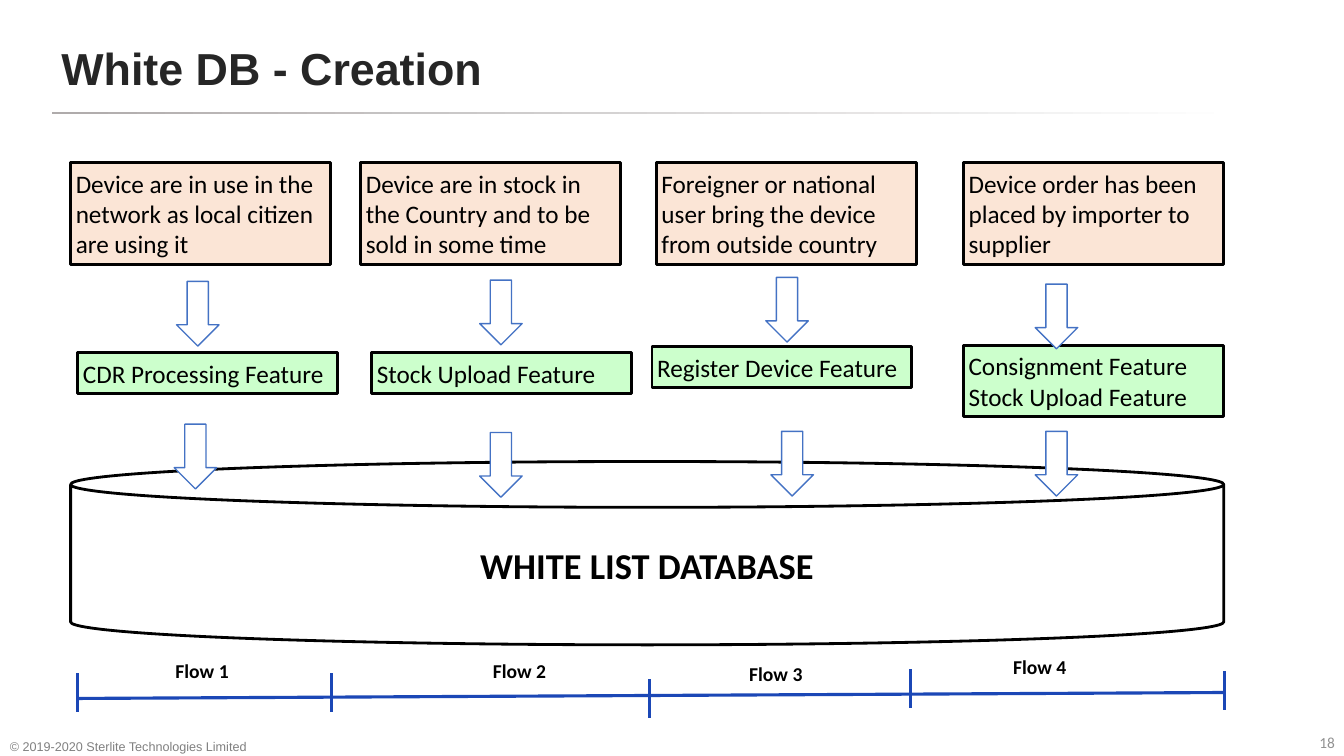
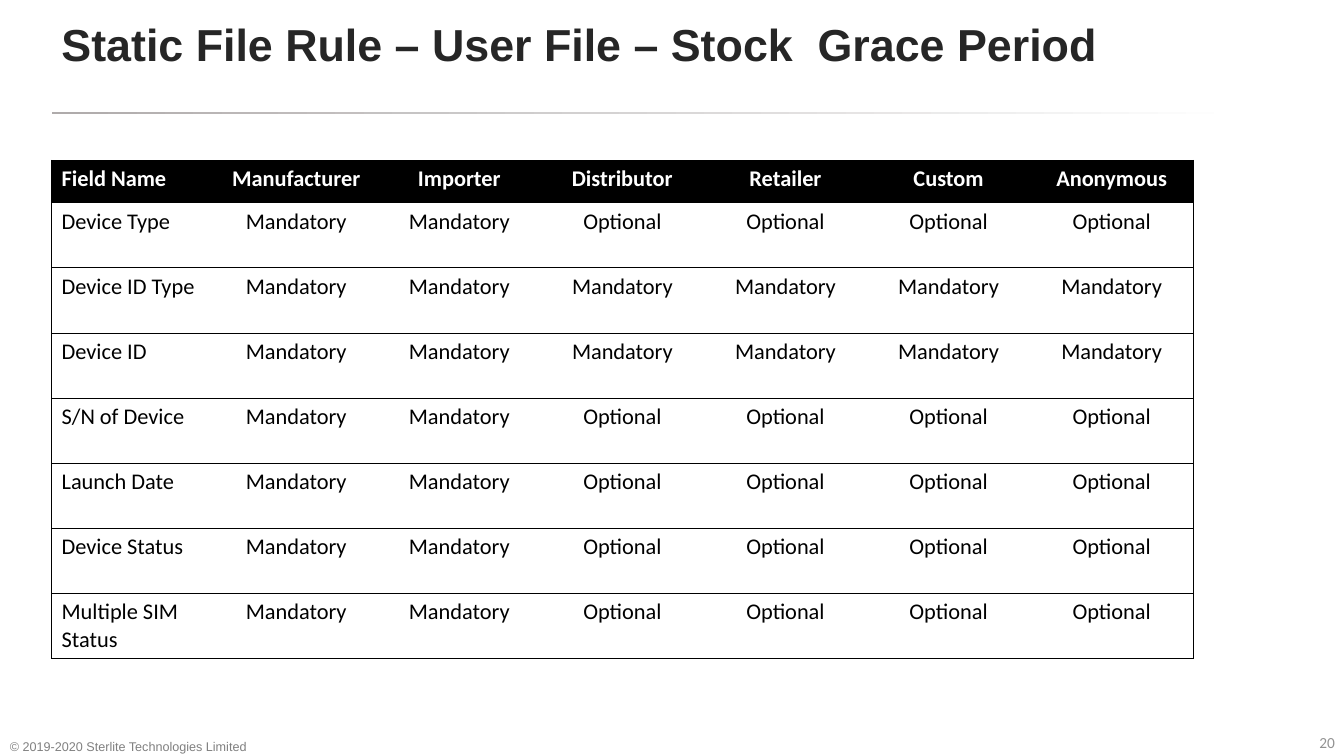
from dataclasses import dataclass
from typing import NamedTuple

from lxml import etree
from pptx import Presentation
from pptx import util as u
from pptx.dml import color
from pptx.enum import shapes, text
from pptx.oxml import ns

COLORS = {
    "title": "262626",
    "rule": "AFABAB",
    "number": "929292",
    "copyright": "808080",
    "ink": "000000",
    "paper": "FFFFFF",
    "situation": "FBE5D6",
    "feature": "CCFFCC",
    "arrow": "4472C4",
    "timeline": "1B47B6",
}
COPYRIGHT = "© 2019-2020 Sterlite Technologies Limited"
TIGHT = 0.13


class Point(NamedTuple):
    x: float
    y: float


class Area(NamedTuple):
    left: float
    top: float
    width: float
    height: float

    def lengths(self) -> list:
        return [u.Cm(value) for value in self]


@dataclass(frozen=True)
class Style:
    size: float
    color: str = "ink"
    bold: bool = False
    font: str = "Calibri"
    align: text.PP_ALIGN = text.PP_ALIGN.LEFT
    anchor: text.MSO_ANCHOR = text.MSO_ANCHOR.TOP
    margin_x: float = TIGHT
    margin_y: float = TIGHT
    wrap: bool = True


@dataclass(frozen=True)
class Flow:
    """One way for a device to reach the white list, with the places of its parts."""
    name: str
    situation: str
    features: tuple
    situation_left: float
    feature_at: Point
    upper_arrow: Point
    lower_arrow: Point
    label_at: Point


class FieldRule(NamedTuple):
    name: str
    mandatory_for_all: bool = False


MIDDLE = text.MSO_ANCHOR.MIDDLE
CENTER = text.PP_ALIGN.CENTER
TITLE = Style(32, "title", True, "Arial", anchor=MIDDLE, margin_x=0.25)
NUMBER = Style(11, "number", wrap=False)
FOOTER = Style(9, "copyright", font="Arial", anchor=text.MSO_ANCHOR.BOTTOM,
               margin_x=0.25, margin_y=0.05)
BOX = Style(18, anchor=MIDDLE)
DATABASE = Style(26, bold=True, align=CENTER, anchor=MIDDLE)
LABEL = Style(14, bold=True, wrap=False)

FLOWS = [
    Flow("Flow 1", "Device are in use in the network as local citizen are using it",
         ("CDR Processing Feature",), 1.78,
         Point(1.96, 8.89), Point(4.45, 7.09), Point(4.39, 10.69), Point(4.29, 16.48)),
    Flow("Flow 2", "Device are in stock in the Country and to be sold in some time",
         ("Stock Upload Feature",), 9.09,
         Point(9.37, 8.89), Point(12.09, 7.06), Point(12.09, 10.9), Point(12.29, 16.48)),
    Flow("Flow 3", "Foreigner or national user bring the device from outside country",
         ("Register Device Feature",), 16.54,
         Point(16.43, 8.74), Point(19.3, 6.99), Point(19.43, 10.87), Point(18.75, 16.54)),
    Flow("Flow 4", "Device order has been placed by importer to supplier",
         ("Consignment Feature", "Stock Upload Feature"), 24.28,
         Point(24.28, 8.71), Point(26.09, 7.16), Point(26.09, 10.87), Point(25.4, 16.38)),
]
TICKS = [Point(1.96, 16.97), Point(8.36, 16.97), Point(16.36, 17.12),
         Point(22.94, 16.87), Point(30.86, 16.92)]
TICK_HEIGHT = 0.97

ALWAYS_MANDATORY = ["Manufacturer", "Importer"]
OTHER_ROLES = ["Distributor", "Retailer", "Custom", "Anonymous"]
FIELD_RULES = [
    FieldRule("Device Type"),
    FieldRule("Device ID Type", True),
    FieldRule("Device ID", True),
    FieldRule("S/N of Device"),
    FieldRule("Launch Date"),
    FieldRule("Device Status"),
    FieldRule("Multiple SIM Status"),
]


def rgb(name: str) -> color.RGBColor:
    return color.RGBColor.from_string(COLORS[name])


def add_span(para, words: str, style: Style) -> None:
    para.alignment = style.align
    span = para.add_run()
    span.text = words
    span.font.name = style.font
    span.font.size = u.Pt(style.size)
    span.font.bold = style.bold
    span.font.color.rgb = rgb(style.color)


def write(frame, lines: tuple, style: Style) -> None:
    frame.word_wrap = style.wrap
    frame.vertical_anchor = style.anchor
    frame.margin_left = frame.margin_right = u.Cm(style.margin_x)
    frame.margin_top = frame.margin_bottom = u.Cm(style.margin_y)
    for index, line in enumerate(lines):
        para = frame.add_paragraph() if index else frame.paragraphs[0]
        add_span(para, line, style)


def add_text(page, area: Area, words: str, style: Style) -> None:
    box = page.shapes.add_textbox(*area.lengths())
    write(box.text_frame, (words,), style)


def add_figure(page, kind, area: Area, fill: str, line: str, weight: float):
    figure = page.shapes.add_shape(kind, *area.lengths())
    figure.shadow.inherit = False
    figure.fill.solid()
    figure.fill.fore_color.rgb = rgb(fill)
    figure.line.color.rgb = rgb(line)
    figure.line.width = u.Pt(weight)
    return figure


def add_box(page, area: Area, lines: tuple, fill: str) -> None:
    box = add_figure(page, shapes.MSO_SHAPE.RECTANGLE, area, fill, "ink", 2)
    write(box.text_frame, lines, BOX)


def add_arrow(page, at: Point) -> None:
    add_figure(page, shapes.MSO_SHAPE.DOWN_ARROW, Area(*at, 1.07, 1.63),
               "paper", "arrow", 1)


def add_line(page, start: Point, end: Point) -> None:
    ends = [u.Cm(value) for value in (*start, *end)]
    line = page.shapes.add_connector(shapes.MSO_CONNECTOR.STRAIGHT, *ends)
    line.line.color.rgb = rgb("timeline")
    line.line.width = u.Pt(2.25)
    etree.SubElement(line._element.spPr, ns.qn("a:effectLst"))


def add_rule(page) -> None:
    """Draw the line under the title, fading to the right."""
    rule = page.shapes.add_shape(shapes.MSO_SHAPE.ROUNDED_RECTANGLE,
                                 *Area(1.3, 2.82, 31.27, 0.06).lengths())
    rule.adjustments[0] = 0.5
    rule.shadow.inherit = False
    rule.line.fill.background()
    rule.fill.gradient()
    rule.fill.gradient_angle = 0
    for stop, name, position in zip(rule.fill.gradient_stops, ("rule", "paper"), (0, 0.96)):
        stop.color.rgb = rgb(name)
        stop.position = position


def add_page(deck, title: str, title_area: Area, number: int):
    page = deck.slides.add_slide(deck.slide_layouts[6])
    add_rule(page)
    add_text(page, title_area, title, TITLE)
    add_text(page, Area(33.12, 18.34, 0.69, 0.64), str(number), NUMBER)
    add_text(page, Area(0, 18.34, 7.7, 0.71), COPYRIGHT, FOOTER)
    return page


def add_flow(page, flow: Flow) -> None:
    feature_height = 2 * TIGHT + 0.76 * len(flow.features)
    add_box(page, Area(flow.situation_left, 4.09, 6.55, 2.57),
            (flow.situation,), "situation")
    add_box(page, Area(*flow.feature_at, 6.55, feature_height), flow.features, "feature")
    add_arrow(page, flow.upper_arrow)
    add_arrow(page, flow.lower_arrow)
    add_text(page, Area(*flow.label_at, 1.63, 0.86), flow.name, LABEL)


def set_borders(cell, visible: dict) -> None:
    """Give each side of a cell a thin line or none; call before setting the fill."""
    properties = cell._tc.get_or_add_tcPr()
    for side, shown in visible.items():
        line = etree.SubElement(properties, ns.qn(f"a:ln{side}"), w=str(u.Pt(0.75)))
        if shown:
            fill = etree.SubElement(line, ns.qn("a:solidFill"))
            etree.SubElement(fill, ns.qn("a:srgbClr"), val=COLORS["ink"])
        else:
            etree.SubElement(line, ns.qn("a:noFill"))


def add_field_table(page) -> None:
    rows = [["Field Name", *ALWAYS_MANDATORY, *OTHER_ROLES]]
    for rule in FIELD_RULES:
        other = "Mandatory" if rule.mandatory_for_all else "Optional"
        rows.append([rule.name, *["Mandatory"] * len(ALWAYS_MANDATORY),
                     *[other] * len(OTHER_ROLES)])
    heights = [1.07] + [1.64] * len(FIELD_RULES)
    last = len(rows[0]) - 1
    area = Area(1.3, 4.04, 4.11 * len(rows[0]), sum(heights))
    table = page.shapes.add_table(len(rows), len(rows[0]), *area.lengths()).table
    table.horz_banding = False
    for column in table.columns:
        column.width = u.Cm(4.11)
    for row_index, (row, height) in enumerate(zip(rows, heights)):
        table.rows[row_index].height = u.Cm(height)
        header = row_index == 0
        for column_index, words in enumerate(row):
            cell = table.cell(row_index, column_index)
            set_borders(cell, {"L": column_index == 0, "R": column_index == last,
                               "T": True, "B": True})
            cell.fill.solid()
            cell.fill.fore_color.rgb = rgb("ink" if header else "paper")
            style = Style(16, "paper" if header else "ink", header,
                          align=CENTER if column_index else text.PP_ALIGN.LEFT)
            add_span(cell.text_frame.paragraphs[0], words, style)


def build_creation(deck) -> None:
    page = add_page(deck, "White DB - Creation", Area(1.3, 0.58, 25.2, 2.24), 18)
    database = add_figure(page, shapes.MSO_SHAPE.CAN, Area(1.78, 11.63, 29.06, 4.62),
                          "paper", "ink", 2)
    write(database.text_frame, ("WHITE LIST DATABASE",), DATABASE)
    for flow in FLOWS:
        add_flow(page, flow)
    add_line(page, Point(TICKS[0].x, 17.6), Point(TICKS[-1].x, 17.45))
    for tick in TICKS:
        add_line(page, tick, Point(tick.x, tick.y + TICK_HEIGHT))


def build_grace_period(deck) -> None:
    page = add_page(deck, "Static File Rule – User File – Stock  Grace Period",
                    Area(1.3, 0.1, 27.25, 1.98), 20)
    add_field_table(page)


def main() -> None:
    deck = Presentation()
    deck.slide_width, deck.slide_height = u.Cm(33.87), u.Cm(19.05)
    build_creation(deck)
    build_grace_period(deck)
    deck.save("out.pptx")


if __name__ == "__main__":
    main()
